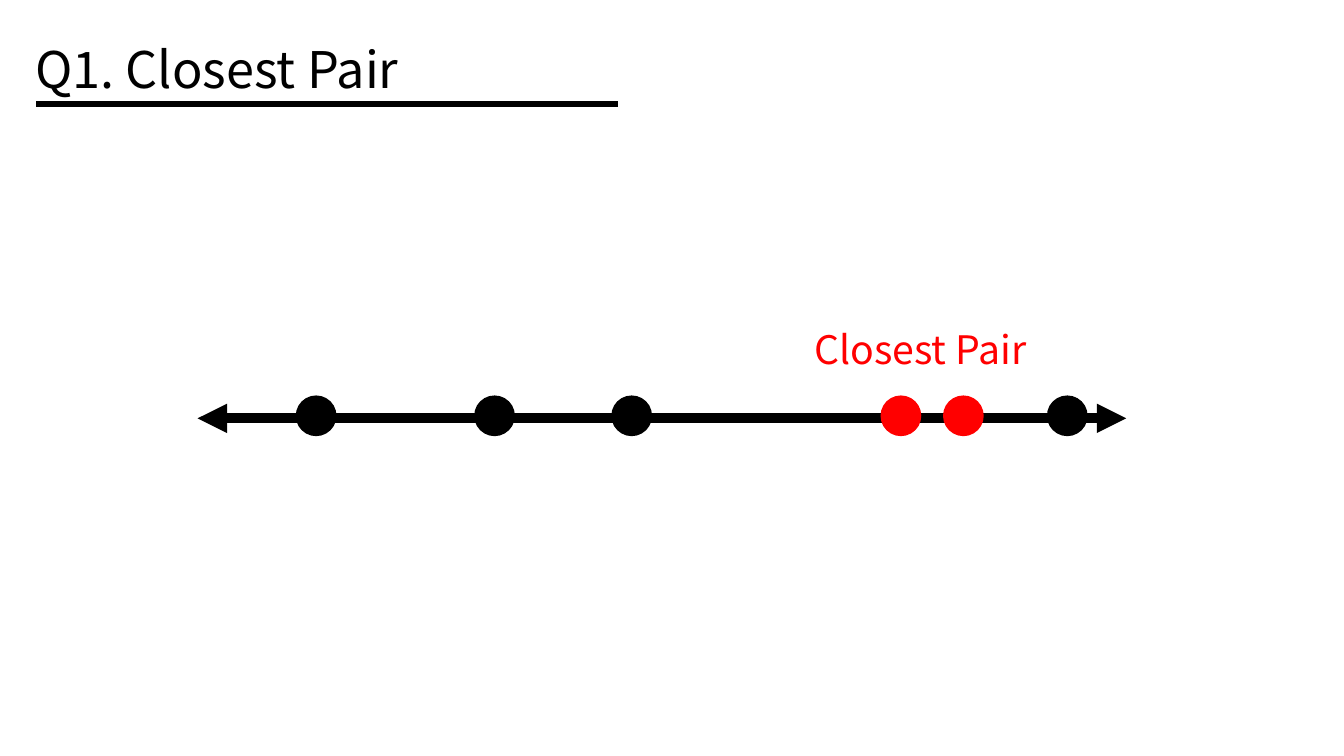
from typing import NamedTuple

from lxml import etree
from pptx import Presentation
from pptx.dml.color import RGBColor
from pptx.enum.shapes import MSO_CONNECTOR, MSO_SHAPE
from pptx.enum.text import MSO_AUTO_SIZE
from pptx.oxml.ns import qn
from pptx.util import Inches, Pt

STRAIGHT = MSO_CONNECTOR.STRAIGHT
OVAL = MSO_SHAPE.OVAL
GROW = MSO_AUTO_SIZE.SHAPE_TO_FIT_TEXT
FONT = "Noto Sans CJK KR"
COLORS = {"ink": "000000", "closest": "FF0000"}
POINT_TOP = 3.93
POINT_SIZE = 0.39


class Rule(NamedTuple):
    start: float
    end: float
    y: float
    weight: float
    ends: tuple[str, ...] = ()


class Label(NamedTuple):
    text: str
    left: float
    top: float
    width: float
    height: float
    size: float
    color: str


class Point(NamedTuple):
    left: float
    color: str


AXIS = Rule(1.96, 11.17, 4.15, 7, ("headEnd", "tailEnd"))
UNDERLINE = Rule(0.36, 6.13, 1.03, 4)
TITLE = Label("Q1. Closest Pair", 0.25, 0.33, 6.02, 0.71, 36, "ink")
PAIR_LABEL = Label("Closest Pair", 7.98, 3.18, 2.75, 0.57, 28, "closest")
POINTS = [
    Point(2.94, "ink"),
    Point(4.71, "ink"),
    Point(6.07, "ink"),
    Point(8.74, "closest"),
    Point(9.36, "closest"),
    Point(10.39, "ink"),
]


def color_of(name: str) -> RGBColor:
    return RGBColor.from_string(COLORS[name])


def draw_rule(page, rule: Rule) -> None:
    y = Inches(rule.y)
    connector = page.shapes.add_connector(
        STRAIGHT, Inches(rule.start), y, Inches(rule.end), y
    )
    connector.line.color.rgb = color_of("ink")
    connector.line.width = Pt(rule.weight)
    outline = connector.line._get_or_add_ln()
    for end in rule.ends:
        etree.SubElement(outline, qn(f"a:{end}"), type="triangle")
    etree.SubElement(connector._element.spPr, qn("a:effectLst"))


def draw_label(page, label: Label) -> None:
    box = page.shapes.add_textbox(
        Inches(label.left), Inches(label.top), Inches(label.width), Inches(label.height)
    )
    frame = box.text_frame
    frame.word_wrap = True
    frame.auto_size = GROW
    span = frame.paragraphs[0].add_run()
    span.text = label.text
    for name, value in {"name": FONT, "size": Pt(label.size)}.items():
        setattr(span.font, name, value)
    span.font.color.rgb = color_of(label.color)


def draw_point(page, point: Point) -> None:
    size = Inches(POINT_SIZE)
    dot = page.shapes.add_shape(
        OVAL, Inches(point.left), Inches(POINT_TOP), size, size
    )
    dot.shadow.inherit = False
    dot.fill.solid()
    dot.fill.fore_color.rgb = color_of(point.color)
    dot.line.color.rgb = color_of(point.color)
    dot.line.width = Pt(1)


deck = Presentation()
deck.slide_width = Inches(13.33)
deck.slide_height = Inches(7.5)
page = deck.slides.add_slide(deck.slide_layouts[6])

draw_rule(page, AXIS)
draw_label(page, TITLE)
draw_rule(page, UNDERLINE)
for point in POINTS:
    draw_point(page, point)
draw_label(page, PAIR_LABEL)

deck.save("out.pptx")
